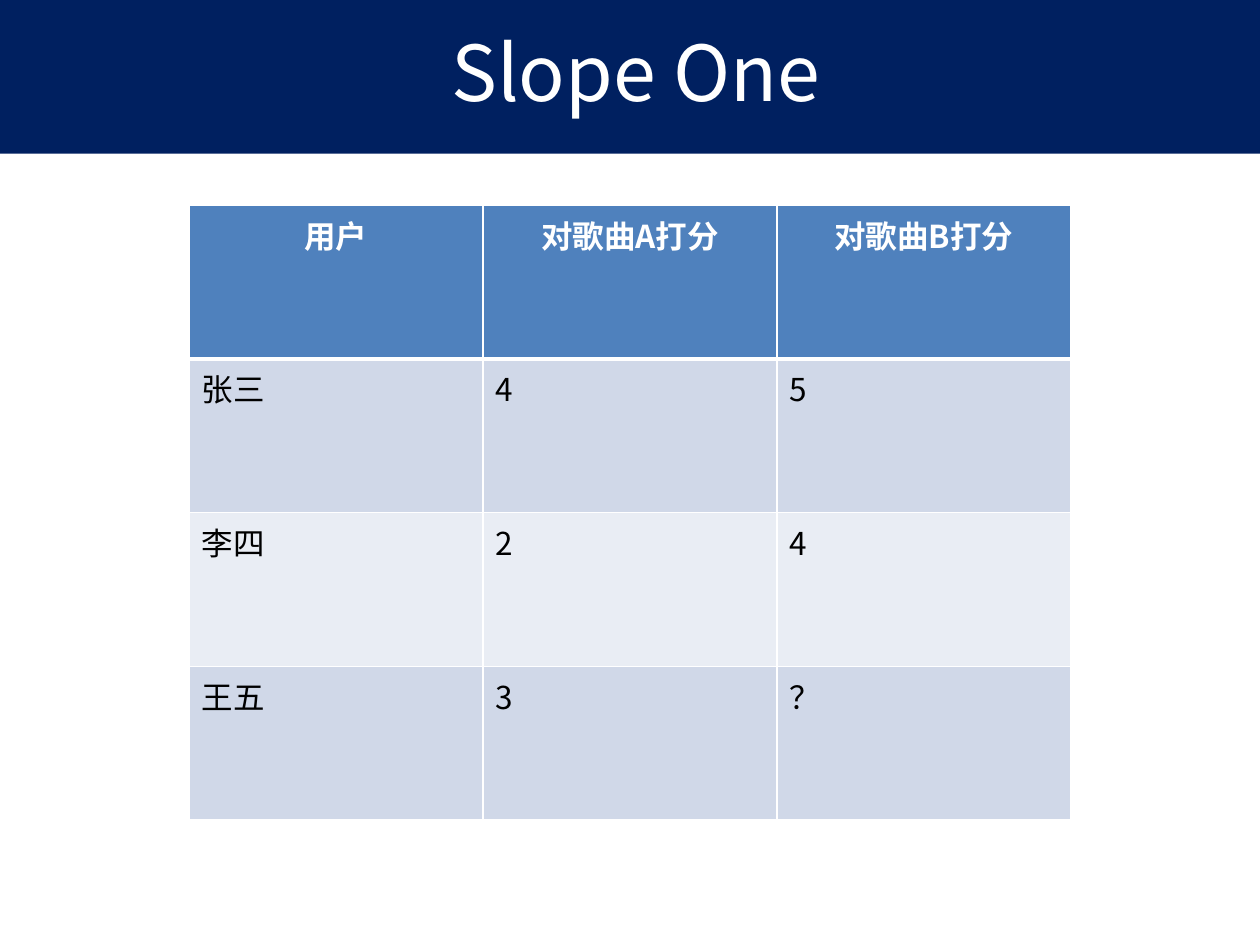
from lxml.etree import SubElement
from pptx import Presentation
from pptx.dml.color import RGBColor
from pptx.enum.shapes import MSO_SHAPE
from pptx.enum.text import MSO_ANCHOR, PP_ALIGN
from pptx.oxml.ns import qn
from pptx.util import Inches, Pt

FONT = "Noto Sans CJK SC"
WHITE = "FFFFFF"
BANDS = ["D0D8E8", "E9EDF4"]
RATINGS = [
    ["用户", "对歌曲A打分", "对歌曲B打分"],
    ["张三", "4", "5"],
    ["李四", "2", "4"],
    ["王五", "3", "？"],
]
TITLE_FORMAT = {"name": FONT, "size": Pt(44), "bold": False}
HEADER_FORMAT = {"name": FONT, "size": Pt(18), "bold": True}
BODY_FORMAT = {"name": FONT, "size": Pt(18), "bold": False}


def color(hex_value):
    return RGBColor.from_string(hex_value)


def fill_solid(target, hex_value):
    target.fill.solid()
    target.fill.fore_color.rgb = color(hex_value)


def write(paragraph, text, font_format, hex_value, align):
    paragraph.alignment = align
    run = paragraph.add_run()
    run.text = text
    for attribute, value in font_format.items():
        setattr(run.font, attribute, value)
    run.font.color.rgb = color(hex_value)
    SubElement(run.font._element, qn("a:ea"), typeface=font_format["name"])


def set_borders(cell, widths):
    properties = cell._tc.get_or_add_tcPr()
    for index, (side, width) in enumerate(widths.items()):
        border = properties.makeelement(qn(f"a:{side}"), {"w": str(Pt(width))})
        fill = SubElement(border, qn("a:solidFill"))
        SubElement(fill, qn("a:srgbClr"), val=WHITE)
        properties.insert(index, border)


def add_title(slide, left, top, width, height):
    banner = slide.shapes.add_shape(MSO_SHAPE.RECTANGLE, left, top, width, height)
    banner.shadow.inherit = False
    fill_solid(banner, "002060")
    banner.line.fill.background()
    frame = banner.text_frame
    frame.word_wrap = True
    frame.vertical_anchor = MSO_ANCHOR.MIDDLE
    write(frame.paragraphs[0], "Slope One", TITLE_FORMAT, WHITE, PP_ALIGN.CENTER)


def add_ratings(slide, left, top, width, height):
    ratings = slide.shapes.add_table(
        len(RATINGS), len(RATINGS[0]), left, top, width, height
    ).table
    for row, values in enumerate(RATINGS):
        is_header = row == 0
        widths = {
            "lnL": 1,
            "lnR": 1,
            "lnT": 3 if row == 1 else 1,
            "lnB": 3 if is_header else 1,
        }
        for column, value in enumerate(values):
            cell = ratings.cell(row, column)
            fill_solid(cell, "4F81BD" if is_header else BANDS[(row - 1) % 2])
            set_borders(cell, widths)
            paragraph = cell.text_frame.paragraphs[0]
            paragraph.space_before = Pt(3.6)
            if is_header:
                write(paragraph, value, HEADER_FORMAT, WHITE, PP_ALIGN.CENTER)
            else:
                write(paragraph, value, BODY_FORMAT, "000000", PP_ALIGN.LEFT)


def main():
    presentation = Presentation()
    presentation.slide_width = Inches(10)
    presentation.slide_height = Inches(7.5)
    slide = presentation.slides.add_slide(presentation.slide_layouts[6])
    add_title(slide, Inches(-0.03), Inches(-0.1), Inches(10.15), Inches(1.32))
    add_ratings(slide, Inches(1.5), Inches(1.63), Inches(7), Inches(4.88))
    presentation.save("out.pptx")


if __name__ == "__main__":
    main()
